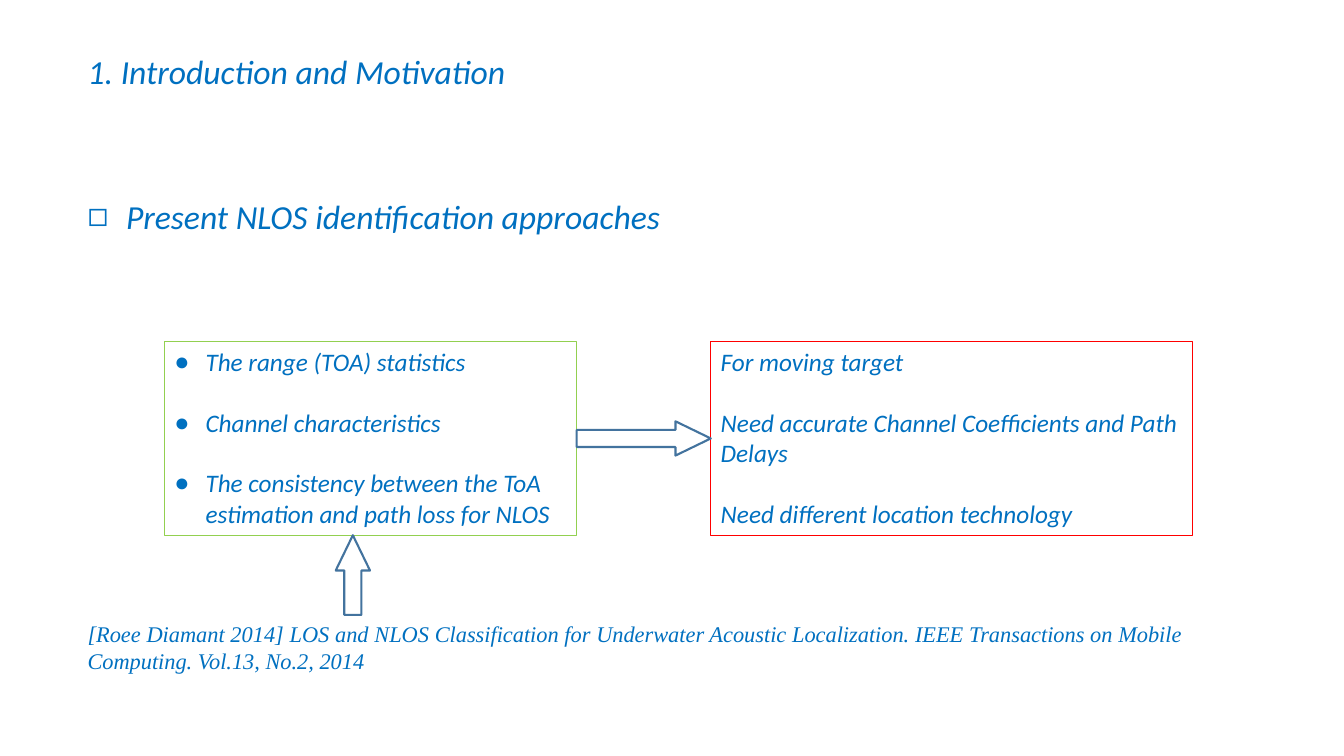
from lxml.etree import SubElement
from pptx import Presentation
from pptx.dml.color import RGBColor
from pptx.enum.shapes import MSO_SHAPE as Preset
from pptx.enum.text import MSO_ANCHOR as Anchor, MSO_AUTO_SIZE as AutoSize, PP_ALIGN as Align
from pptx.oxml.ns import qn
from pptx.util import Inches, Pt

BLUE, GREEN, RED, STEEL = "0070C0", "92D050", "FF0000", "43739E"
HEADING = {"size": Pt(24), "name": "Calibri", "italic": True}
DETAIL = {**HEADING, "size": Pt(18)}
CITATION = {**HEADING, "size": Pt(16), "name": "Times New Roman"}
FRAME = {"word_wrap": True, "auto_size": AutoSize.NONE, "vertical_anchor": Anchor.TOP}


def color(hex_value):
    return RGBColor.from_string(hex_value)


def apply(target, values):
    for name, value in values.items():
        setattr(target, name, value)


def place(shape, box):
    apply(shape, dict(zip(("left", "top", "width", "height"), map(Inches, box))))


def add_bullet(paragraph, character, indent):
    properties = paragraph._p.get_or_add_pPr()
    properties.set("marL", str(Inches(indent)))
    properties.set("indent", str(-Inches(indent)))
    SubElement(properties, qn("a:buFont"), typeface="Arial")
    SubElement(properties, qn("a:buChar"), char=character)


def write(shape, lines, font, align=Align.LEFT, gap=0, bullet=None):
    frame = shape.text_frame
    apply(frame, FRAME)
    frame.text = "\n".join(lines)
    for index, paragraph in enumerate(frame.paragraphs):
        apply(paragraph, {"alignment": align, "space_before": Pt(gap if index else 0)})
        if bullet:
            add_bullet(paragraph, *bullet)
        for run in paragraph.runs:
            apply(run.font, font)
            run.font.color.rgb = color(BLUE)


def add_outline(slide, preset, box, line_color, line_width):
    shape = slide.shapes.add_shape(preset, *map(Inches, box))
    shape.shadow.inherit = False
    shape.fill.background()
    shape.line.color.rgb = color(line_color)
    shape.line.width = Pt(line_width)
    return shape


def add_headings(slide, left, title_top, topic_top):
    title, topic = slide.shapes.title, slide.placeholders[1]
    place(title, (left, title_top, 4.49, 0.5))
    place(topic, (left, topic_top, 10.66, 0.5))
    write(title, ["1. Introduction and Motivation"], HEADING)
    write(topic, ["Present NLOS identification approaches"], HEADING, bullet=("◻", 0.38))


def add_panel(slide, box, line_color, lines, bullet=None):
    panel = add_outline(slide, Preset.RECTANGLE, box, line_color, 0.75)
    write(panel, lines, DETAIL, gap=21.6, bullet=bullet)


def add_arrow(slide, preset, box):
    arrow = add_outline(slide, preset, box, STEEL, 1.5)
    arrow.adjustments[0] = 0.5
    arrow.adjustments[1] = 1.03


def add_comparison(slide, left, top, width, height):
    approach_width, need_width, thickness, rise = 4.09, 4.78, 0.34, 0.79
    approach_right = left + approach_width
    need_left = left + width - need_width
    add_panel(slide, (left, top, approach_width, height), GREEN, [
        "The range (TOA) statistics",
        "Channel characteristics",
        "The consistency between the ToA estimation and path loss for NLOS",
    ], bullet=("●", 0.31))
    add_panel(slide, (need_left, top, need_width, height), RED, [
        "For moving target",
        "Need accurate Channel Coefficients and Path Delays",
        "Need different location technology",
    ])
    middle = top + (height - thickness) / 2
    add_arrow(slide, Preset.RIGHT_ARROW,
              (approach_right, middle, need_left - approach_right, thickness))
    add_arrow(slide, Preset.UP_ARROW, (left + 1.7, top + height, thickness, rise))


def add_citation(slide, box):
    citation = slide.shapes.add_textbox(*map(Inches, box))
    write(citation, [
        "[Roee Diamant 2014] LOS and NLOS Classification for Underwater Acoustic "
        "Localization. IEEE Transactions on Mobile Computing. Vol.13, No.2, 2014"
    ], CITATION, align=Align.JUSTIFY)


presentation = Presentation()
apply(presentation, {"slide_width": Inches(13.33), "slide_height": Inches(7.5)})
slide = presentation.slides.add_slide(presentation.slide_layouts[1])
add_headings(slide, 0.77, 0.45, 1.89)
add_comparison(slide, 1.63, 3.39, 10.2, 1.92)
add_citation(slide, (0.77, 6.1, 11.06, 0.64))
presentation.save("out.pptx")
